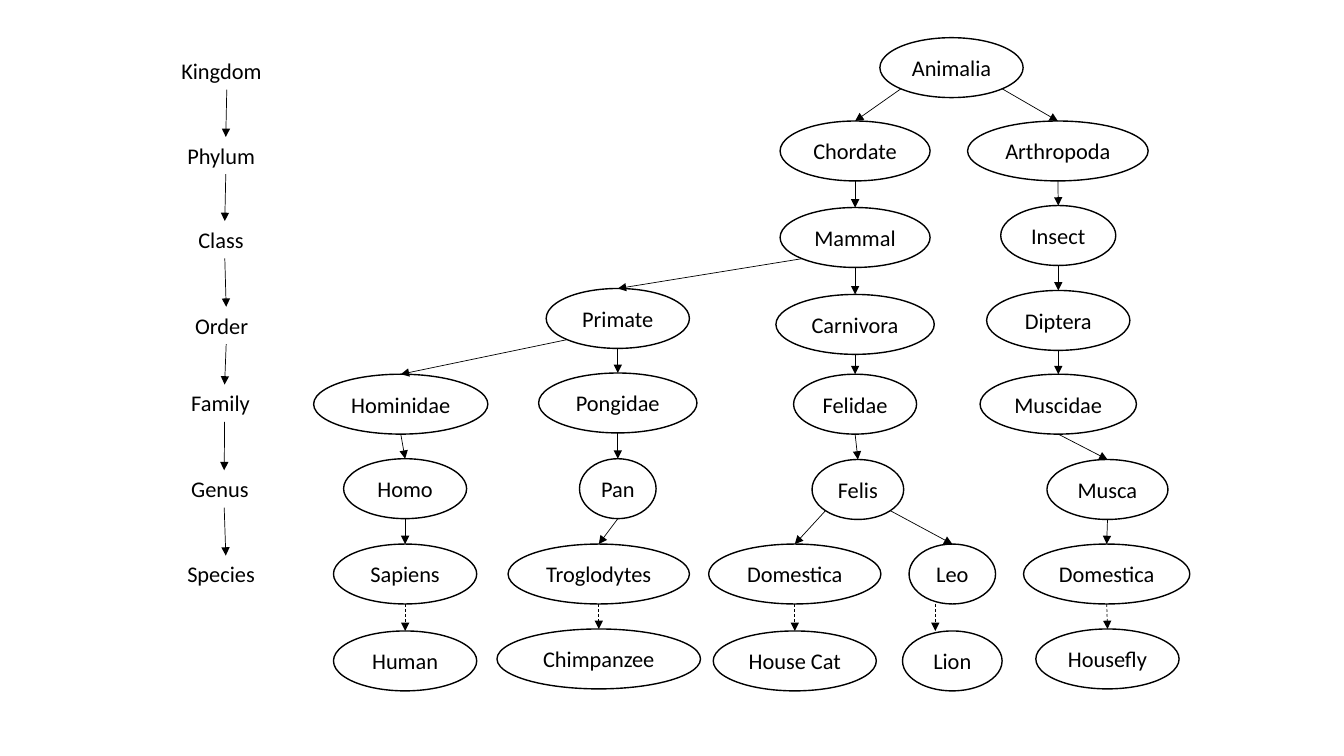
import math

import lxml.etree
import pptx
import pptx.dml.color
import pptx.enum.dml
import pptx.enum.shapes
import pptx.enum.text
import pptx.oxml.ns
import pptx.util

Cm = pptx.util.Cm
Pt = pptx.util.Pt
COLOURS = {"ink": "000000", "paper": "FFFFFF"}
INK = pptx.dml.color.RGBColor.from_string(COLOURS["ink"])
PAPER = pptx.dml.color.RGBColor.from_string(COLOURS["paper"])
OVAL_HEIGHT = 1.51
LABEL_HEIGHT = 0.94
LEFT, BOTTOM, RIGHT = 3, 4, 5
LEAN = {LEFT: -1, BOTTOM: 0, RIGHT: 1}

deck = pptx.Presentation()
deck.slide_width = Cm(33.87)
deck.slide_height = Cm(19.05)
page = deck.slides.add_slide(deck.slide_layouts[6])


def write(box, label):
    box.text_frame.text = label
    font = box.text_frame.paragraphs[0].runs[0].font
    font.name = "Calibri"
    font.size = Pt(16)
    font.color.rgb = INK


def add_arrow(begin_x, begin_y, end_x, end_y):
    arrow = page.shapes.add_connector(
        pptx.enum.shapes.MSO_CONNECTOR.STRAIGHT,
        Cm(begin_x), Cm(begin_y), Cm(end_x), Cm(end_y))
    arrow.line.color.rgb = INK
    arrow.line.width = Pt(0.5)
    line = arrow.line._get_or_add_ln()
    lxml.etree.SubElement(line, pptx.oxml.ns.qn("a:tailEnd"), type="triangle")
    lxml.etree.SubElement(arrow._element.spPr, pptx.oxml.ns.qn("a:effectLst"))
    return arrow


# label, centre, top, width, parent, side of the parent
taxa = [
    ("Animalia", 23.98, 0.95, 3.61, None, None),
    ("Chordate", 21.55, 3.05, 3.78, "Animalia", LEFT),
    ("Mammal", 21.55, 5.23, 3.78, "Chordate", BOTTOM),
    ("Primate", 15.57, 7.27, 3.61, "Mammal", LEFT),
    ("Hominidae", 10.1, 9.43, 4.39, "Primate", LEFT),
    ("Homo", 10.21, 11.56, 3.1, "Hominidae", BOTTOM),
    ("Sapiens", 10.21, 13.71, 3.61, "Homo", BOTTOM),
    ("Human", 10.21, 15.9, 3.61, "Sapiens", BOTTOM),
    ("Pongidae", 15.57, 9.4, 3.99, "Primate", BOTTOM),
    ("Pan", 15.57, 11.56, 1.93, "Pongidae", BOTTOM),
    ("Troglodytes", 15.09, 13.71, 4.57, "Pan", BOTTOM),
    ("Chimpanzee", 15.09, 15.85, 5.13, "Troglodytes", BOTTOM),
    ("Carnivora", 21.55, 7.42, 3.99, "Mammal", BOTTOM),
    ("Felidae", 21.55, 9.43, 3.1, "Carnivora", BOTTOM),
    ("Felis", 21.62, 11.58, 2.31, "Felidae", BOTTOM),
    ("Domestica", 20.03, 13.71, 4.34, "Felis", LEFT),
    ("House Cat", 20.03, 15.9, 4.11, "Domestica", BOTTOM),
    ("Leo", 24, 13.71, 2.18, "Felis", RIGHT),
    ("Lion", 24, 15.9, 2.51, None, None),
    ("Arthropoda", 26.66, 3.05, 4.55, "Animalia", RIGHT),
    ("Insect", 26.67, 5.18, 2.9, "Arthropoda", BOTTOM),
    ("Diptera", 26.67, 7.32, 3.61, "Insect", BOTTOM),
    ("Muscidae", 26.67, 9.43, 3.94, "Diptera", BOTTOM),
    ("Musca", 27.91, 11.58, 3.05, "Muscidae", BOTTOM),
    ("Domestica", 27.89, 13.71, 4.19, "Musca", BOTTOM),
    ("Housefly", 27.91, 15.85, 3.61, "Domestica", BOTTOM),
]
ovals = {}
for label, centre, top, width, parent, side in taxa:
    oval = page.shapes.add_shape(
        pptx.enum.shapes.MSO_SHAPE.OVAL,
        Cm(centre - width / 2), Cm(top), Cm(width), Cm(OVAL_HEIGHT))
    oval.shadow.inherit = False
    oval.fill.solid()
    oval.fill.fore_color.rgb = PAPER
    oval.line.color.rgb = INK
    oval.line.width = Pt(1)
    write(oval, label)
    oval.text_frame.word_wrap = False
    oval.text_frame.vertical_anchor = pptx.enum.text.MSO_ANCHOR.MIDDLE
    oval.text_frame.paragraphs[0].alignment = pptx.enum.text.PP_ALIGN.CENTER
    ovals[label] = oval, centre, top, width
    if parent:
        source, source_centre, source_top, source_width = ovals[parent]
        diagonal = math.sqrt(0.5)
        begin_x = source_centre + LEAN[side] * diagonal * source_width / 2
        drop = 1 if side == BOTTOM else diagonal
        begin_y = source_top + OVAL_HEIGHT / 2 * (1 + drop)
        arrow = add_arrow(begin_x, begin_y, centre, top)
        arrow.begin_connect(source, 2)
        arrow._element.xpath(".//a:stCxn")[0].set("idx", str(side))
        arrow.begin_x = Cm(begin_x)
        arrow.begin_y = Cm(begin_y)
        arrow.end_connect(oval, 0)
    elif label == "Lion":
        arrow = add_arrow(23.57, 15.22, 23.57, top)
    if top > 15:
        arrow.line.dash_style = pptx.enum.dml.MSO_LINE.DASH

ranks = [
    ("Kingdom", 4.32, 1.32, 2.79),
    ("Phylum", 4.47, 3.45, 2.44),
    ("Class", 4.75, 5.57, 1.83),
    ("Order", 4.67, 7.73, 2.06),
    ("Family", 4.57, 9.69, 2.18),
    ("Genus", 4.57, 11.85, 2.16),
    ("Species", 4.47, 14, 2.44),
]
above = None
for label, left, top, width in ranks:
    box = page.shapes.add_textbox(Cm(left), Cm(top), Cm(width), Cm(LABEL_HEIGHT))
    box.text_frame.word_wrap = True
    box.text_frame.auto_size = pptx.enum.text.MSO_AUTO_SIZE.SHAPE_TO_FIT_TEXT
    write(box, label)
    if above:
        arrow = add_arrow(left, top, left, top)
        arrow.begin_connect(above, 2)
        arrow.end_connect(box, 0)
    above = box

deck.save("out.pptx")
